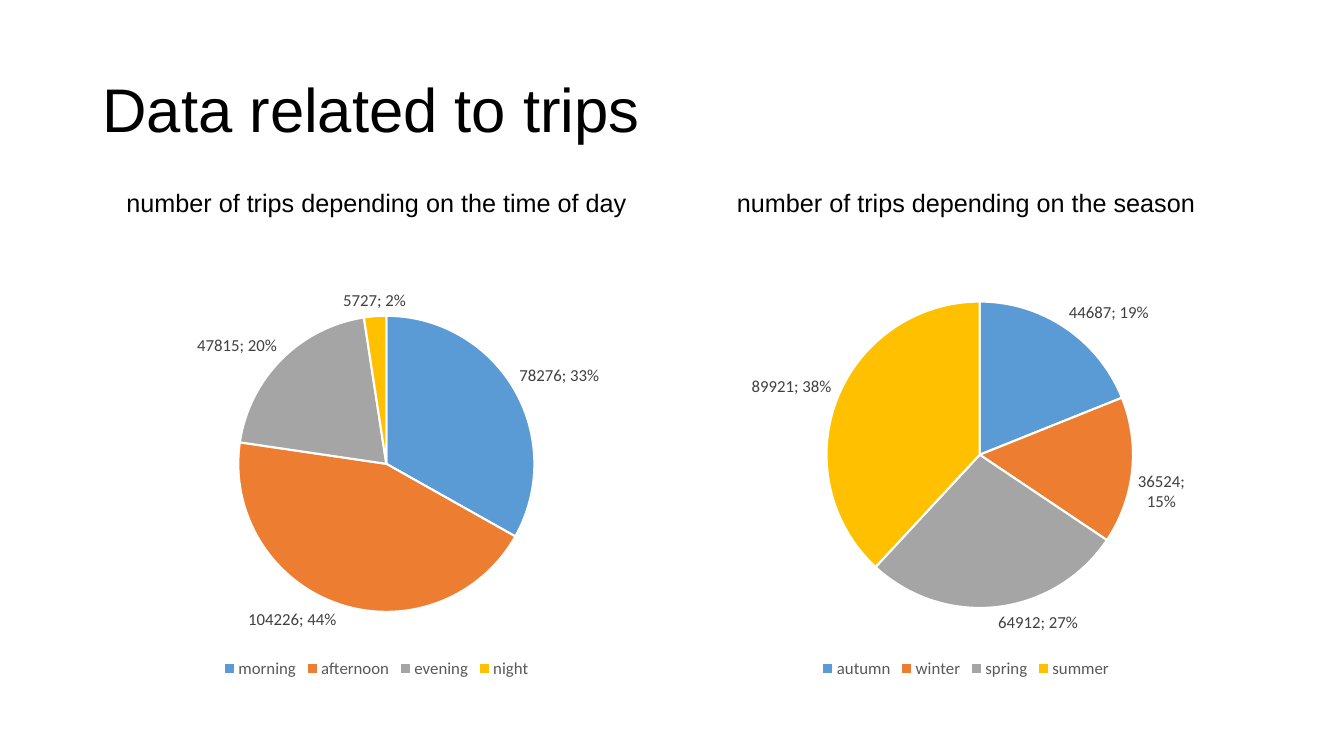
from pptx import Presentation
from pptx.chart.data import CategoryChartData
from pptx.dml.color import RGBColor
from pptx.enum.chart import XL_CHART_TYPE, XL_LABEL_POSITION, XL_LEGEND_POSITION
from pptx.enum.text import MSO_ANCHOR, PP_ALIGN
from pptx.util import Pt
from lxml import etree

TITLE = "Data related to trips"
PANELS = [
    dict(head="number of trips depending on the time of day", left=88, width=541,
         data={"morning": 78276, "afternoon": 104226, "evening": 47815, "night": 5727}),
    dict(head="number of trips depending on the season", left=648, width=544,
         data={"autumn": 44687, "winter": 36524, "spring": 64912, "summer": 89921}),
]

BLACK = RGBColor(0x00, 0x00, 0x00)
WHITE = RGBColor(0xFF, 0xFF, 0xFF)
DARK = RGBColor(0x40, 0x40, 0x40)
GRAY = RGBColor(0x59, 0x59, 0x59)
BLUE = RGBColor(0x5B, 0x9B, 0xD5)
ORANGE = RGBColor(0xED, 0x7D, 0x31)
SILVER = RGBColor(0xA5, 0xA5, 0xA5)
GOLD = RGBColor(0xFF, 0xC0, 0x00)
SLICES = [BLUE, ORANGE, SILVER, GOLD]

PX = 9525
HEAD_TOP, HEAD_HIGH = 177, 86
PIE_TOP, PIE_HIGH = HEAD_TOP + HEAD_HIGH, 387


def box(left, top, width, height):
    return [n * PX for n in (left, top, width, height)]


def style(font, size, color, name):
    font.size = Pt(size)
    font.color.rgb = color
    font.name = name
    font.bold = False


def write(shape, text, area, size, align, anchor, before=0):
    shape.left, shape.top, shape.width, shape.height = area
    frame = shape.text_frame
    frame.word_wrap = True
    frame.vertical_anchor = anchor
    para = frame.paragraphs[0]
    para.alignment = align
    para.line_spacing = 0.9
    para.space_before = Pt(before)
    run = para.add_run()
    run.text = text
    style(run.font, size, BLACK, "Arial")


def draw_pie(slide, data, area):
    table = CategoryChartData()
    table.categories = list(data)
    table.add_series("Series 1", list(data.values()))
    chart = slide.shapes.add_chart(XL_CHART_TYPE.PIE, *area, table).chart
    chart.has_title = False
    style(chart.font, 10, BLACK, "Calibri")
    chart.has_legend = True
    chart.legend.position = XL_LEGEND_POSITION.BOTTOM
    chart.legend.include_in_layout = False
    style(chart.legend.font, 12, GRAY, "Calibri")

    plot = chart.plots[0]
    plot.vary_by_categories = True
    for i, color in enumerate(SLICES):
        form = plot.series[0].points[i].format
        form.fill.solid()
        form.fill.fore_color.rgb = color
        form.line.color.rgb = WHITE
        form.line.width = Pt(1.5)

    labels = plot.series[0].data_labels
    labels.show_value = True
    labels.show_percentage = True
    labels.position = XL_LABEL_POSITION.OUTSIDE_END
    style(labels.font, 12, DARK, "Calibri")
    root = plot.series[0].data_labels._element
    space = etree.QName(root).namespace
    mark = etree.Element(f"{{{space}}}separator")
    mark.text = "; "
    root.find(f"{{{space}}}showBubbleSize").addnext(mark)


def main():
    deck = Presentation()
    deck.slide_width, deck.slide_height = 1280 * PX, 720 * PX
    slide = deck.slides.add_slide(deck.slide_layouts.get_by_name("Comparison"))
    title, *rest = slide.placeholders
    heads, spare = rest[::2][:2], rest[1::2]
    write(title, TITLE, box(88, 38, 1104, 139), 44, PP_ALIGN.LEFT, MSO_ANCHOR.MIDDLE)
    for head, panel in zip(heads, PANELS):
        left, width = panel["left"], panel["width"]
        write(head, panel["head"], box(left, HEAD_TOP, width, HEAD_HIGH), 18,
              PP_ALIGN.CENTER, MSO_ANCHOR.TOP, before=10)
        draw_pie(slide, panel["data"], box(left, PIE_TOP, width, PIE_HIGH))
    for item in spare:
        item._element.getparent().remove(item._element)
    deck.save("out.pptx")


if __name__ == "__main__":
    main()
